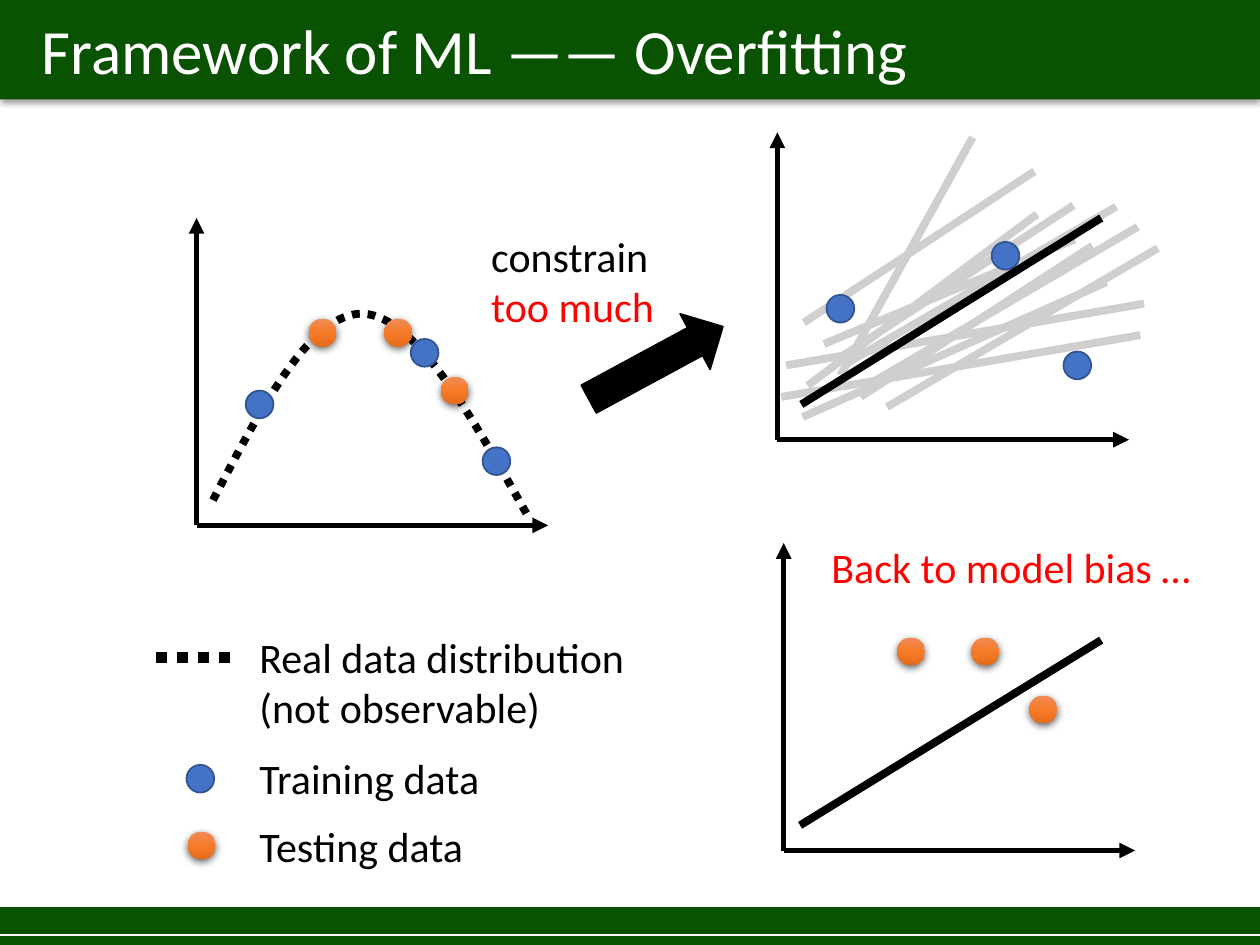
from copy import deepcopy
from dataclasses import dataclass
from typing import Any

from lxml.etree import SubElement
from pptx import Presentation
from pptx.dml.color import RGBColor
from pptx.enum.dml import MSO_LINE
from pptx.enum.shapes import MSO_CONNECTOR, MSO_SHAPE
from pptx.enum.text import MSO_ANCHOR, MSO_AUTO_SIZE, PP_ALIGN
from pptx.oxml.ns import qn
from pptx.util import Inches, Pt


@dataclass(frozen=True)
class Theme:
    font: str = "Calibri"
    title: int = 36
    body: int = 24
    green: str = "095200"
    white: str = "FFFFFF"
    black: str = "000000"
    red: str = "FF0000"
    gray: str = "D0CECE"
    blue: str = "4472C4"
    navy: str = "325491"
    glow: tuple = ("F18C57", "F67B28", "E56C19")
    thin: float = 0.75
    edge: float = 1
    axis: float = 3
    curve: float = 4.5
    key: float = 6


@dataclass(frozen=True)
class Line:
    x1: float
    y1: float
    x2: float
    y2: float


@dataclass(frozen=True)
class Dot:
    x: float
    y: float
    test: bool = False


@dataclass(frozen=True)
class Label:
    x: float
    y: float
    width: float
    height: float
    words: tuple


LOOK = Theme()
SIZE = 0.22
AXES = [(1.56, 4.17), (6.17, 3.49), (6.22, 6.75)]
GUESSES = [
    Line(6.2, 3.15, 9.05, 2.66), Line(6.24, 2.9, 9.08, 2.41),
    Line(6.37, 3.31, 8.78, 2.24), Line(6.41, 3.06, 8.23, 1.7),
    Line(6.67, 2.98, 7.72, 1.09), Line(6.83, 3.15, 8.67, 1.95),
    Line(6.68, 2.83, 8.52, 1.63), Line(6.38, 2.56, 8.21, 1.36),
    Line(6.54, 2.73, 8.53, 1.9), Line(6.71, 2.89, 8.86, 1.64),
    Line(6.88, 3.06, 9.03, 1.8), Line(7.04, 3.23, 9.19, 1.97),
]
FITS = [Line(6.36, 3.21, 8.74, 1.73), Line(6.35, 6.55, 8.74, 5.08)]
TRAIN = [Dot(6.56, 2.34), Dot(7.87, 1.92), Dot(8.44, 2.79)]
TEST = [Dot(8.17, 5.52, True), Dot(7.71, 5.06, True), Dot(7.12, 5.06, True)]
REAL = [
    Dot(1.95, 3.1), Dot(3.26, 2.69), Dot(3.83, 3.55),
    Dot(3.5, 2.99, True), Dot(3.05, 2.53, True), Dot(2.45, 2.53, True),
]
KEYS = [Dot(1.48, 6.07), Dot(1.49, 6.6, True)]
CURVE = [(1.69, 3.97), (2.08, 3.22), (2.47, 2.48), (2.88, 2.49),
         (3.3, 2.51), (3.74, 3.3), (4.18, 4.08)]
LABELS = [
    Label(1.96, 4.96, 3.11, 0.91,
          (("Real data distribution (not observable)", LOOK.black),)),
    Label(1.96, 5.92, 3.11, 0.5, (("Training data", LOOK.black),)),
    Label(1.96, 6.46, 3.11, 0.5, (("Testing data", LOOK.black),)),
    Label(3.8, 1.78, 1.86, 0.91,
          (("constrain ", LOOK.black), ("too much", LOOK.red))),
    Label(6.5, 4.25, 3.18, 0.5, (("Back to model bias …", LOOK.red),)),
]


def paint(fill: Any, color: str) -> None:
    fill.solid()
    fill.fore_color.rgb = RGBColor.from_string(color)


def stroke(line: Any, color: str, width: float) -> None:
    paint(line.fill, color)
    line.width = Pt(width)


def style(font: Any, size: int, color: str) -> None:
    font.name, font.size = LOOK.font, Pt(size)
    font.color.rgb = RGBColor.from_string(color)


def shade(shape: Any, alpha: int, blur: float, gap: float) -> None:
    effects = shape.element.spPr.find(qn("a:effectLst"))
    cast = SubElement(effects, qn("a:outerShdw"), blurRad=str(Pt(blur)),
                      dist=str(Pt(gap)), dir="5400000", rotWithShape="0")
    color = SubElement(cast, qn("a:srgbClr"), val=LOOK.black)
    SubElement(color, qn("a:alpha"), val=str(alpha * 1000))


def add_line(shapes: Any, line: Line, color: str, width: float,
             arrow: bool = False) -> Any:
    item = shapes.add_connector(
        MSO_CONNECTOR.STRAIGHT, Inches(line.x1), Inches(line.y1),
        Inches(line.x2), Inches(line.y2))
    stroke(item.line, color, width)
    if arrow:
        SubElement(item.element.spPr.find(qn("a:ln")), qn("a:tailEnd"), type="triangle")
    SubElement(item.element.spPr, qn("a:effectLst"))
    return item


def add_form(shapes: Any, kind: Any, x: float, y: float, width: float,
             height: float, color: str) -> Any:
    form = shapes.add_shape(kind, Inches(x), Inches(y), Inches(width), Inches(height))
    paint(form.fill, color)
    form.line.fill.background()
    form.shadow.inherit = False
    return form


def add_dot(shapes: Any, dot: Dot) -> None:
    form = add_form(shapes, MSO_SHAPE.OVAL, dot.x, dot.y, SIZE, SIZE, LOOK.blue)
    if not dot.test:
        stroke(form.line, LOOK.navy, LOOK.edge)
        return
    form.fill.gradient()
    form.fill.gradient_angle = 270
    stops = form.element.spPr.find(qn("a:gradFill")).find(qn("a:gsLst"))
    stops.insert(1, deepcopy(stops[0]))
    for rank, (stop, color) in enumerate(zip(form.fill.gradient_stops, LOOK.glow)):
        stop.position = rank / 2
        stop.color.rgb = RGBColor.from_string(color)
    shade(form, 63, 4.5, 1.5)


def add_axes(shapes: Any, x: float, y: float) -> None:
    for end in ((x + 2.79, y), (x, y - 2.44)):
        add_line(shapes, Line(x, y, *end), LOOK.black, LOOK.axis, True)


def add_curve(shapes: Any) -> None:
    points = [(Inches(x), Inches(y)) for x, y in CURVE]
    maker = shapes.build_freeform(*points[0])
    maker.add_line_segments(points[1:], close=False)
    form = maker.convert_to_shape()
    form.fill.background()
    stroke(form.line, LOOK.black, LOOK.curve)
    form.line.dash_style = MSO_LINE.ROUND_DOT
    form.shadow.inherit = False
    steps = list(form.element.iter(qn("a:lnTo")))
    track = steps[0].getparent()
    for first in range(0, len(steps), 3):
        bend = SubElement(track, qn("a:cubicBezTo"))
        for step in steps[first:first + 3]:
            bend.append(step[0])
            track.remove(step)


def add_label(shapes: Any, label: Label) -> None:
    box = shapes.add_textbox(Inches(label.x), Inches(label.y),
                             Inches(label.width), Inches(label.height))
    frame = box.text_frame
    frame.word_wrap = True
    frame.auto_size = MSO_AUTO_SIZE.SHAPE_TO_FIT_TEXT
    for text, color in label.words:
        run = frame.paragraphs[0].add_run()
        run.text = text
        style(run.font, LOOK.body, color)


def add_frame(shapes: Any) -> None:
    head = add_form(shapes, MSO_SHAPE.RECTANGLE, 0, -0.01, 10, 0.8, LOOK.green)
    shade(head, 40, 4, 1)
    frame = head.text_frame
    frame.text = "Framework of ML —— Overfitting"
    frame.margin_left = Inches(0.33)
    frame.vertical_anchor = MSO_ANCHOR.MIDDLE
    frame.paragraphs[0].alignment = PP_ALIGN.LEFT
    style(frame.paragraphs[0].runs[0].font, LOOK.title, LOOK.white)
    add_form(shapes, MSO_SHAPE.RECTANGLE, 0, 7.2, 10, 0.3, LOOK.green)
    add_line(shapes, Line(0, 7.42, 10, 7.42), LOOK.white, LOOK.thin)


def main() -> None:
    deck = Presentation()
    deck.slide_width, deck.slide_height = Inches(10), Inches(7.5)
    shapes = deck.slides.add_slide(deck.slide_layouts[6]).shapes
    add_frame(shapes)
    group = shapes.add_group_shape().shapes
    for line in GUESSES:
        add_line(group, line, LOOK.gray, LOOK.curve)
    for x, y in AXES:
        add_axes(shapes, x, y)
    group = shapes.add_group_shape().shapes
    for dot in TRAIN:
        add_dot(group, dot)
    add_curve(shapes)
    for dot in TEST + REAL + KEYS:
        add_dot(shapes, dot)
    key = add_line(shapes, Line(1.24, 5.22, 1.89, 5.22), LOOK.black, LOOK.key)
    key.line.dash_style = MSO_LINE.ROUND_DOT
    for label in LABELS:
        add_label(shapes, label)
    arrow = add_form(shapes, MSO_SHAPE.RIGHT_ARROW, 4.6, 2.63, 1.21, 0.5, LOOK.black)
    stroke(arrow.line, LOOK.black, LOOK.edge)
    arrow.rotation = 331.6
    for line in FITS:
        add_line(shapes, line, LOOK.black, LOOK.curve)
    deck.save("out.pptx")


if __name__ == "__main__":
    main()
